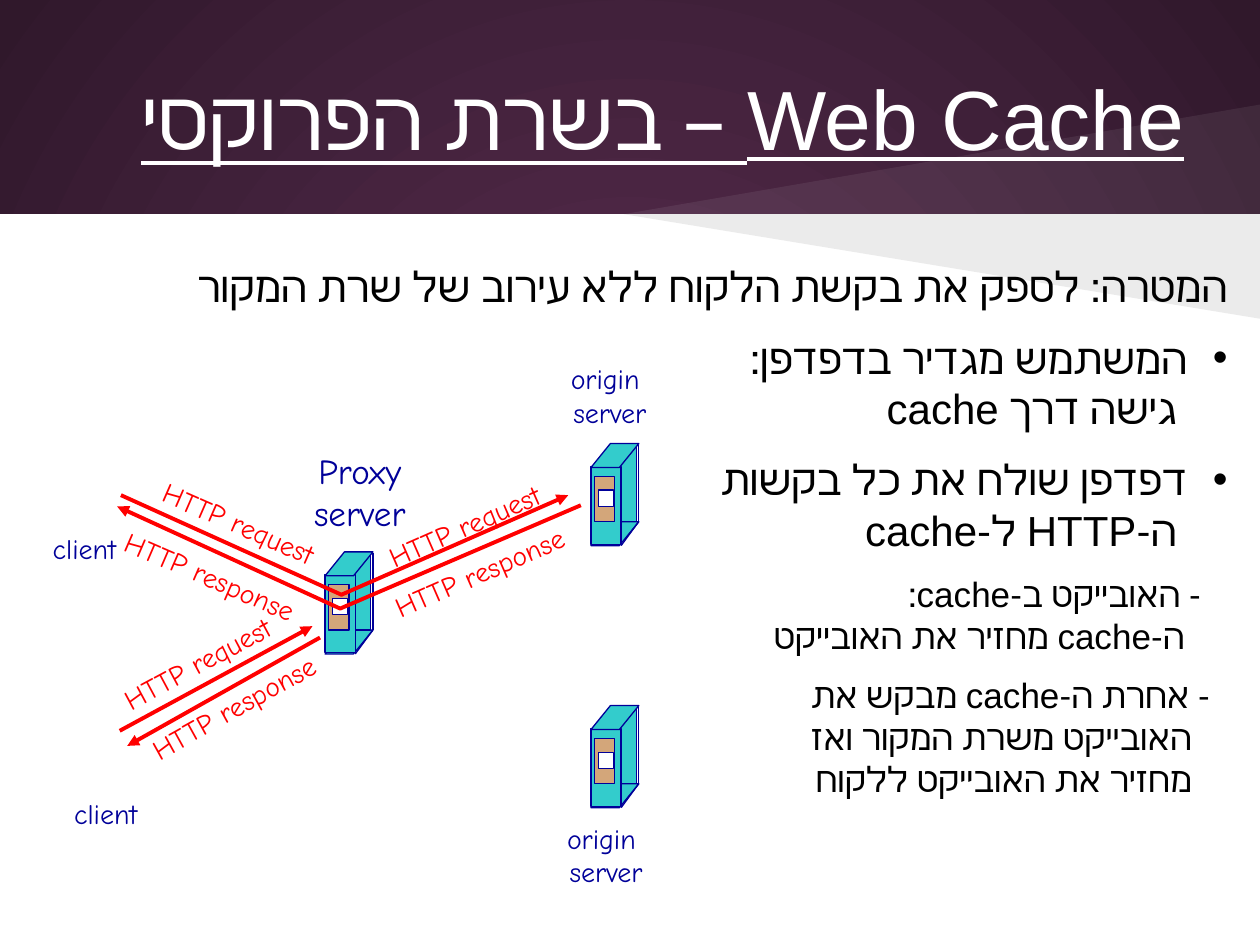
from lxml.etree import SubElement
from pptx import Presentation
from pptx.dml.color import RGBColor
from pptx.enum.shapes import MSO_CONNECTOR, MSO_SHAPE
from pptx.enum.text import MSO_ANCHOR, MSO_AUTO_SIZE, PP_ALIGN
from pptx.oxml.ns import qn
from pptx.util import Inches, Pt

COLORS = {
    "plum": "592D50", "dark plum": "30182B", "white": "FFFFFF", "black": "000000",
    "navy": "000099", "teal": "33CCCC", "tan": "D3A67A", "red": "FF0000",
}


def write(frame, lines, size, color, font="Arial", align=PP_ALIGN.CENTER,
          rtl=False, underline=None, first=True, space=0):
    """Write one paragraph per line and return the last paragraph."""
    for line in lines:
        paragraph = frame.paragraphs[0] if first else frame.add_paragraph()
        paragraph.text = line
        paragraph.alignment = align
        if rtl:
            paragraph._p.get_or_add_pPr().set("rtl", "1")
        if space and not first:
            paragraph.space_before = Pt(space)
        for run in paragraph.runs:
            run.font.size = Pt(size)
            run.font.name = font
            run.font.underline = underline
            run.font.color.rgb = RGBColor.from_string(COLORS[color])
        first = False
    return paragraph


def paint(shape, fill, line=None, alpha=None):
    shape.shadow.inherit = False
    shape.fill.solid()
    shape.fill.fore_color.rgb = RGBColor.from_string(COLORS[fill])
    if alpha:
        tint = shape._element.spPr.find(qn("a:solidFill"))[0]
        SubElement(tint, qn("a:alpha")).set("val", str(alpha * 1000))
    if line:
        shape.line.color.rgb = RGBColor.from_string(COLORS[line])
        shape.line.width = Pt(0.75)
    else:
        shape.line.fill.background()


prs = Presentation()
prs.slide_width, prs.slide_height = Inches(10), Inches(7.5)
slide = prs.slides.add_slide(prs.slide_layouts[5])
shapes = slide.shapes

# Background: radial gradient
backdrop = slide.background.fill
backdrop.gradient()
for stop, name in zip(backdrop.gradient_stops, ("plum", "dark plum")):
    stop.color.rgb = RGBColor.from_string(COLORS[name])
gradient = slide._element.cSld.find(".//" + qn("a:gradFill"))
gradient.remove(gradient.find(qn("a:lin")))
radial = SubElement(gradient, qn("a:path"))
radial.set("path", "circle")
center = SubElement(radial, qn("a:fillToRect"))
for side in "ltrb":
    center.set(side, "50000")

# White page and the two translucent facets
page = shapes.add_shape(MSO_SHAPE.RECTANGLE, 0, Inches(1.7), Inches(10), Inches(5.8))
paint(page, "white")
for tip, color, alpha in ((0.83, "white", 7), (2.53, "black", 8)):
    outline = shapes.build_freeform(Inches(10), Inches(1.7))
    outline.add_line_segments([(Inches(4.95), Inches(1.7)), (Inches(10), Inches(tip))])
    paint(outline.convert_to_shape(), color, alpha=alpha)

# Title, brought in front of the facets
title = shapes.title
title.left, title.top, title.width, title.height = map(Inches, (0.5, 0.3, 9, 1.25))
heading = title.text_frame
heading.auto_size = MSO_AUTO_SIZE.NONE
heading.vertical_anchor = MSO_ANCHOR.MIDDLE
heading.margin_left = heading.margin_right = Inches(0.1)
heading.margin_top = heading.margin_bottom = Inches(0.1)
write(heading, ["Web Cache – בשרת הפרוקסי"], 48, "white",
      align=PP_ALIGN.RIGHT, rtl=True, underline=True)
shapes._spTree.append(title._element)

# Explanation: text, size, space before, bullet, margin and hanging indent
points = [
    ("המטרה: לספק את בקשת הלקוח ללא עירוב של שרת המקור", 24, 0, None, 0, 0),
    ("המשתמש מגדיר בדפדפן:\n גישה דרך cache", 24, 12, "•", 0.32, 0.32),
    ("דפדפן שולח את כל בקשות\n ה-HTTP ל-cache", 24, 12, "•", 0.32, 0.32),
    ("- האובייקט ב-cache:\nה-cache מחזיר את האובייקט", 20, 10, None, 0.34, 0.13),
    ("- אחרת ה-cache מבקש את\nהאובייקט משרת המקור ואז\nמחזיר את האובייקט ללקוח", 20, 10, None, 0.28, 0.14),
]
explanation = shapes.add_textbox(Inches(1.3), Inches(2.02), Inches(8.54), Inches(4.5)).text_frame
explanation.word_wrap = True
for index, (text, size, space, bullet, margin, hanging) in enumerate(points):
    point = write(explanation, [text], size, "black", align=PP_ALIGN.RIGHT,
                  rtl=True, first=index == 0, space=space)
    properties = point._p.get_or_add_pPr()
    properties.set("marL", str(Inches(margin)))
    properties.set("indent", str(-Inches(hanging)))
    if bullet:
        SubElement(properties, qn("a:buFont")).set("typeface", "Arial")
        SubElement(properties, qn("a:buChar")).set("char", bullet)

# Servers: parts are placed relative to each tower's corner
tower_parts = [
    (MSO_SHAPE.PARALLELOGRAM, 0, 0.62, 0.38, 0.19, "teal"),
    (MSO_SHAPE.RECTANGLE, 0.19, 0, 0.17, 0.62, "teal"),
    (MSO_SHAPE.RECTANGLE, 0, 0.18, 0.24, 0.62, "teal"),
    (MSO_SHAPE.PARALLELOGRAM, 0, 0, 0.38, 0.19, "teal"),
    (MSO_SHAPE.RECTANGLE, 0.03, 0.26, 0.16, 0.36, "tan"),
    (MSO_SHAPE.RECTANGLE, 0.06, 0.37, 0.12, 0.13, "white"),
]
tower_edges = [(0.38, 0.01, 0.38, 0.62), (0.38, 0.62, 0.24, 0.81)]
for left, top in ((2.58, 4.38), (4.69, 3.52), (4.69, 5.6)):
    tower = shapes.add_group_shape().shapes
    for kind, x, y, width, height, color in tower_parts:
        part = tower.add_shape(kind, Inches(left + x), Inches(top + y), Inches(width), Inches(height))
        if kind == MSO_SHAPE.PARALLELOGRAM:
            part.adjustments[0] = 0.81
        paint(part, color, "navy")
    for x1, y1, x2, y2 in tower_edges:
        edge = tower.add_connector(MSO_CONNECTOR.STRAIGHT, Inches(left + x1), Inches(top + y1),
                                   Inches(left + x2), Inches(top + y2))
        edge.line.color.rgb = RGBColor.from_string(COLORS["navy"])
        edge.line.width = Pt(0.75)
        SubElement(edge._element.spPr, qn("a:effectLst"))

# Request and response arrows; routes through the proxy have a bend
routes = [
    [(0.96, 3.93), (2.71, 4.72), (4.51, 3.93)],
    [(4.61, 4.01), (2.7, 4.83), (0.93, 4.02)],
    [(0.95, 5.8), (2.48, 4.97)],
    [(2.54, 5.06), (1.01, 5.92)],
]
for route in routes:
    start, *rest = [(Inches(x), Inches(y)) for x, y in route]
    if len(rest) == 1:
        arrow = shapes.add_connector(MSO_CONNECTOR.STRAIGHT, *start, *rest[0])
    else:
        bend = shapes.build_freeform(*start)
        bend.add_line_segments(rest, close=False)
        arrow = bend.convert_to_shape()
        arrow.fill.background()
    arrow.line.color.rgb = RGBColor.from_string(COLORS["red"])
    arrow.line.width = Pt(2.25)
    SubElement(arrow._element.spPr.find(qn("a:ln")), qn("a:tailEnd")).set("type", "triangle")
    SubElement(arrow._element.spPr, qn("a:effectLst"))

# Diagram labels: lines, left, top, width, height, rotation, size, colour
request, response, origin = ["HTTP request"], ["HTTP response"], ["origin ", "server"]
labels = [
    (["client"], 0.28, 4.17, 0.78, 0.37, 0, 16, "navy"),
    (["Proxy", "server"], 2.33, 3.52, 1.05, 0.77, 0, 20, "navy"),
    (["client"], 0.45, 6.27, 0.78, 0.37, 0, 16, "navy"),
    (request, 1.07, 3.97, 1.65, 0.37, 23.7, 16, "red"),
    (request, 0.74, 5.08, 1.65, 0.37, 331.8, 16, "red"),
    (response, 0.78, 4.39, 1.77, 0.37, 23.5, 16, "red"),
    (response, 0.97, 5.43, 1.77, 0.37, 331, 16, "red"),
    (request, 2.86, 3.99, 1.65, 0.37, 336.3, 16, "red"),
    (response, 2.92, 4.36, 1.77, 0.37, 336.4, 16, "red"),
    (origin, 4.37, 6.47, 0.88, 0.64, 0, 16, "navy"),
    (origin, 4.4, 2.82, 0.88, 0.64, 0, 16, "navy"),
]
for lines, left, top, width, height, rotation, size, color in labels:
    label = shapes.add_textbox(Inches(left), Inches(top), Inches(width), Inches(height))
    label.rotation = rotation
    label.text_frame.word_wrap = False
    label.text_frame.auto_size = MSO_AUTO_SIZE.SHAPE_TO_FIT_TEXT
    write(label.text_frame, lines, size, color, font="Comic Neue")

prs.save("out.pptx")
